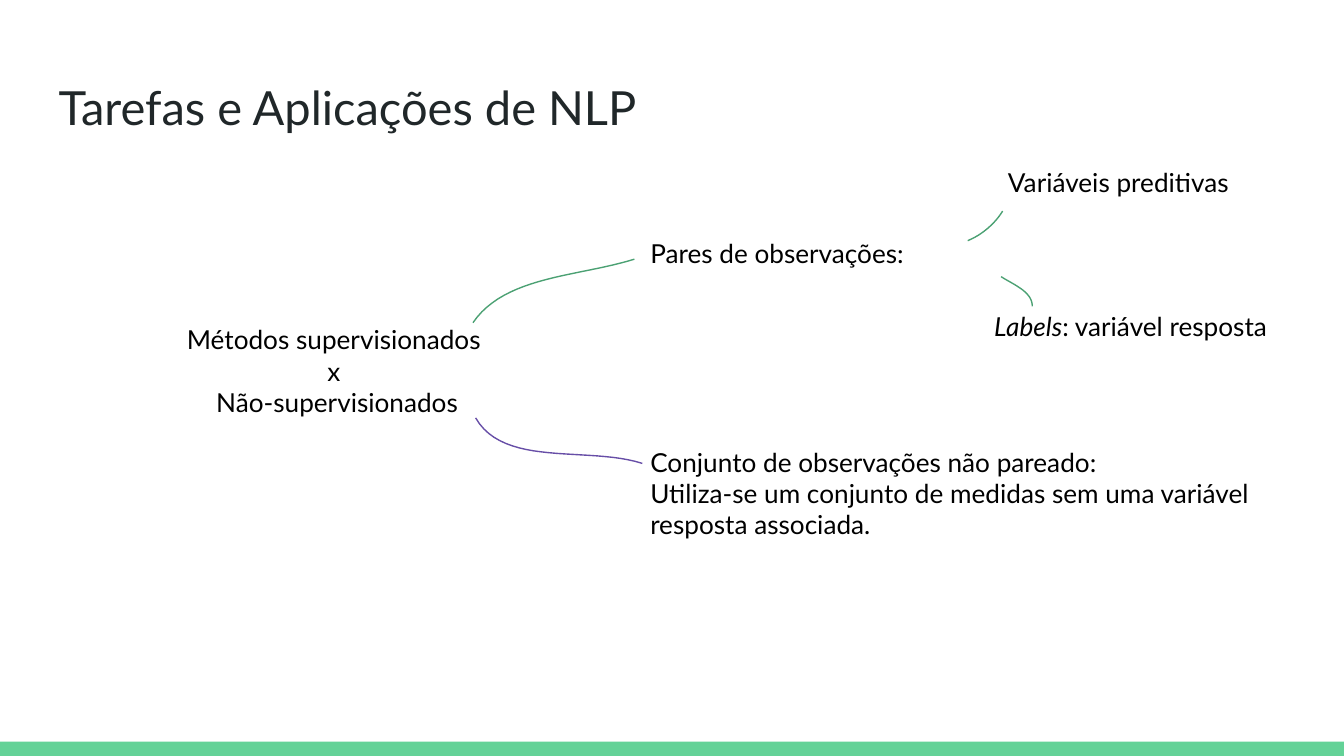
from pptx import Presentation
from pptx.dml.color import RGBColor
from pptx.enum.shapes import MSO_SHAPE as Shape
from pptx.enum.text import PP_ALIGN as Align
from pptx.util import Cm, Pt


def rgb(value):
    return RGBColor.from_string(value)


def add_text(box, paragraphs, size=14, color="000000", align=Align.LEFT):
    frame = slide.shapes.add_textbox(*map(Cm, box)).text_frame
    frame.word_wrap = True
    frame.margin_left = frame.margin_right = Cm(0.25)
    frame.margin_top = frame.margin_bottom = Cm(0.25)
    for index, runs in enumerate(paragraphs):
        paragraph = frame.paragraphs[0] if index == 0 else frame.add_paragraph()
        paragraph.alignment = align
        paragraph.font.name = "Lato"
        paragraph.font.size = Pt(size)
        paragraph.font.color.rgb = rgb(color)
        for text, italic in runs:
            run = paragraph.add_run()
            run.text = text
            if italic:
                run.font.italic = True


prs = Presentation()
prs.slide_width, prs.slide_height = Cm(25.4), Cm(14.29)
slide = prs.slides.add_slide(prs.slide_layouts[6])

footer = slide.shapes.add_shape(Shape.RECTANGLE, 0, Cm(14.02), prs.slide_width, Cm(0.27))
footer.shadow.inherit = False
footer.fill.solid()
footer.fill.fore_color.rgb = rgb("63D297")
footer.line.fill.background()

add_text((0.86, 1.24, 23.67, 1.6), [[("Tarefas e Aplicações de NLP", False)]], 25.2, "202729")
add_text(
    (2.03, 5.87, 8.69, 2.31),
    [[("Métodos supervisionados ", False)], [("x ", False)], [("Não-supervisionados", False)]],
    align=Align.CENTER,
)
add_text((12.04, 4.24, 12.04, 1.12), [[("Pares de observações:", False)]])
add_text(
    (12.04, 8.18, 12.04, 2.31),
    [
        [("Conjunto de observações não pareado:", False)],
        [("Utiliza-se um conjunto de medidas sem uma variável resposta associada.", False)],
    ],
)
add_text((18.54, 5.61, 6.15, 1.12), [[("Labels", True), (": variável resposta", False)]])
add_text((18.8, 2.9, 6.15, 1.12), [[("Variáveis preditivas", False)]])

supervised, unsupervised = "4BA173", "674EA7"
branches = [
    (supervised, [(8.94, 6.1), (9.55, 5.21), (10.95, 5.23), (11.99, 4.9)]),
    (supervised, [(18.92, 5.23), (19.15, 5.38), (19.51, 5.51), (19.51, 5.79)]),
    (supervised, [(18.29, 4.55), (18.54, 4.45), (18.8, 4.24), (18.95, 3.99)]),
    (unsupervised, [(8.99, 7.9), (9.53, 8.84), (11.1, 8.43), (12.14, 8.76)]),
]
steps = 24
for color, controls in branches:
    points = []
    for step in range(steps + 1):
        t = step / steps
        weights = ((1 - t) ** 3, 3 * t * (1 - t) ** 2, 3 * t**2 * (1 - t), t**3)
        points.append([Cm(sum(w * v for w, v in zip(weights, axis))) for axis in zip(*controls)])
    builder = slide.shapes.build_freeform(*points[0])
    builder.add_line_segments(points[1:], close=False)
    branch = builder.convert_to_shape()
    branch.shadow.inherit = False
    branch.fill.background()
    branch.line.color.rgb = rgb(color)
    branch.line.width = Pt(0.75)

prs.save("out.pptx")
